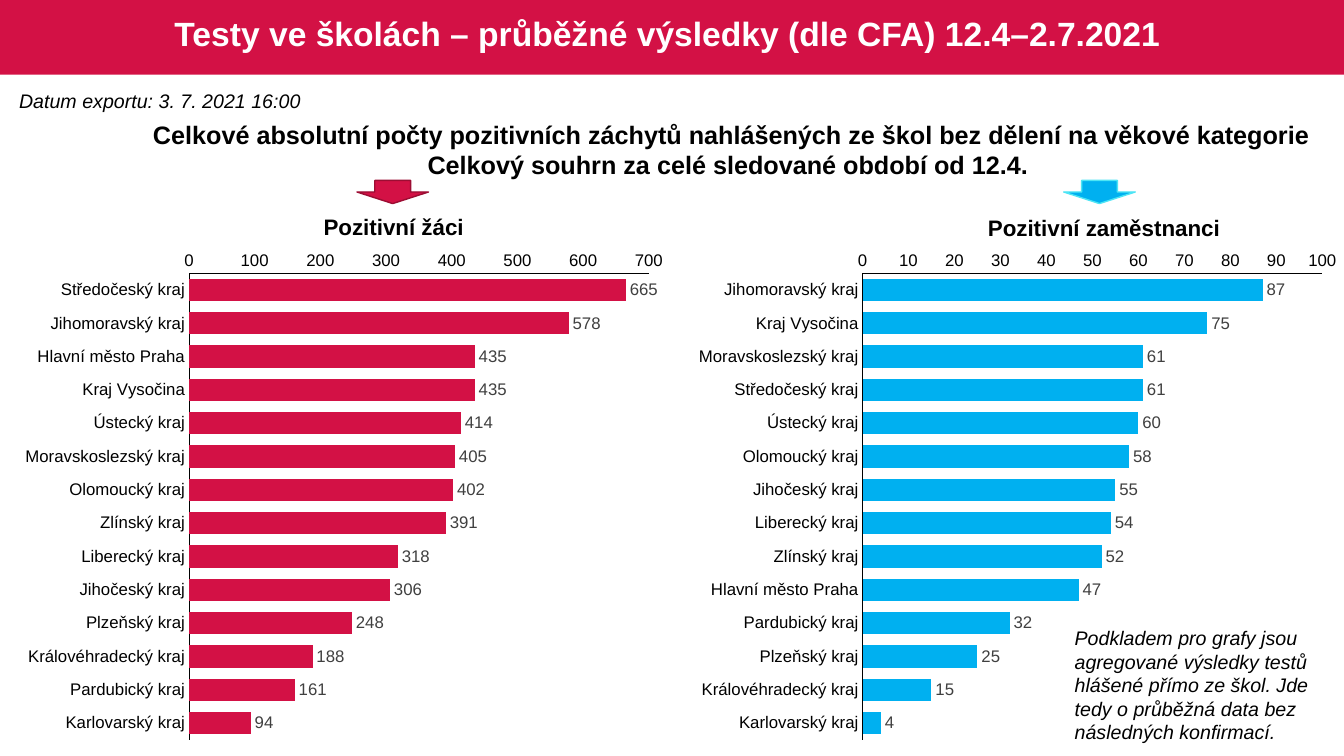
from dataclasses import dataclass

from lxml import etree
from pptx import Presentation
from pptx.chart.data import CategoryChartData
from pptx.dml.color import RGBColor
from pptx.enum.chart import XL_CHART_TYPE, XL_LABEL_POSITION, XL_TICK_MARK
from pptx.enum.shapes import MSO_SHAPE
from pptx.enum.text import MSO_ANCHOR, MSO_AUTO_SIZE, PP_ALIGN
from pptx.oxml import parse_xml
from pptx.oxml.ns import nsdecls
from pptx.util import Emu, Pt

PX = 9144  # EMU in one px, 100 px to the inch


@dataclass(frozen=True)
class Theme:
    font: str = "Arial"
    red: str = "D31145"
    red_edge: str = "9C0D33"
    blue: str = "00B0F0"
    blue_edge: str = "4DE5F5"
    black: str = "000000"
    white: str = "FFFFFF"
    value: str = "404040"
    title: int = 24
    lead: int = 18
    heading: int = 16
    note: int = 14
    axis: int = 12
    chart: int = 10


THEME = Theme()


@dataclass(frozen=True)
class Box:
    x: int
    y: int
    w: int
    h: int

    def emu(self) -> tuple[Emu, Emu, Emu, Emu]:
        return Emu(self.x * PX), Emu(self.y * PX), Emu(self.w * PX), Emu(self.h * PX)


@dataclass(frozen=True)
class Label:
    box: Box
    lines: tuple[str, ...]
    size: int
    bold: bool = False
    italic: bool = False
    centred: bool = False
    wrap: bool = False


@dataclass(frozen=True)
class Panel:
    chart: Box
    arrow: Box
    heading: Label
    fill: str
    edge: str
    top: int
    step: int
    counts: dict[str, int]


PANELS = (
    Panel(
        Box(9, 241, 661, 503), Box(354, 179, 71, 23),
        Label(Box(310, 207, 161, 37), ("Pozitivní žáci",), THEME.heading, bold=True, centred=True),
        THEME.red, THEME.red_edge, 700, 100,
        {"Středočeský kraj": 665, "Jihomoravský kraj": 578, "Hlavní město Praha": 435,
         "Kraj Vysočina": 435, "Ústecký kraj": 414, "Moravskoslezský kraj": 405,
         "Olomoucký kraj": 402, "Zlínský kraj": 391, "Liberecký kraj": 318,
         "Jihočeský kraj": 306, "Plzeňský kraj": 248, "Královéhradecký kraj": 188,
         "Pardubický kraj": 161, "Karlovarský kraj": 94},
    ),
    Panel(
        Box(677, 241, 661, 503), Box(1055, 179, 71, 23),
        Label(Box(968, 208, 254, 37), ("Pozitivní zaměstnanci",), THEME.heading, bold=True, centred=True),
        THEME.blue, THEME.blue_edge, 100, 10,
        {"Jihomoravský kraj": 87, "Kraj Vysočina": 75, "Moravskoslezský kraj": 61,
         "Středočeský kraj": 61, "Ústecký kraj": 60, "Olomoucký kraj": 58,
         "Jihočeský kraj": 55, "Liberecký kraj": 54, "Zlínský kraj": 52,
         "Hlavní město Praha": 47, "Pardubický kraj": 32, "Plzeňský kraj": 25,
         "Královéhradecký kraj": 15, "Karlovarský kraj": 4},
    ),
)

LABELS = (
    Label(Box(9, 83, 301, 34), ("Datum exportu: 3. 7. 2021 16:00",), THEME.note, italic=True),
    Label(
        Box(136, 113, 1179, 71),
        ("Celkové absolutní počty pozitivních záchytů nahlášených ze škol bez dělení na věkové kategorie",
         "Celkový souhrn za celé sledované období od 12.4. "),
        THEME.lead, bold=True, centred=True,
    ),
    Label(
        Box(1056, 616, 291, 128),
        ("Podkladem pro grafy jsou agregované výsledky testů hlášené přímo ze škol. "
         "Jde tedy o průběžná data bez následných konfirmací.",),
        THEME.note, italic=True, wrap=True,
    ),
)


def style_font(font, size: int, colour: str, bold: bool = False, italic: bool = False) -> None:
    font.name, font.size = THEME.font, Pt(size)
    font.bold, font.italic = bold, italic
    font.color.rgb = RGBColor.from_string(colour)


def add_label(s, label: Label) -> None:
    tf = s.shapes.add_textbox(*label.box.emu()).text_frame
    tf.word_wrap = label.wrap
    tf.auto_size = MSO_AUTO_SIZE.SHAPE_TO_FIT_TEXT
    for i, line in enumerate(label.lines):
        p = tf.add_paragraph() if i else tf.paragraphs[0]
        p.alignment = PP_ALIGN.CENTER if label.centred else PP_ALIGN.LEFT
        r = p.add_run()
        r.text = line
        style_font(r.font, label.size, THEME.black, label.bold, label.italic)


def add_preset(s, kind: MSO_SHAPE, box: Box, fill: str, edge: str | None = None):
    sp = s.shapes.add_shape(kind, *box.emu())
    sp.shadow.inherit = False
    sp.fill.solid()
    sp.fill.fore_color.rgb = RGBColor.from_string(fill)
    if edge:
        sp.line.color.rgb = RGBColor.from_string(edge)
        sp.line.width = Pt(1)
    else:
        sp.line.fill.background()
    return sp


def place_plot(chart, x: float, y: float, w: float, h: float) -> None:
    """Fix the inner plot area, in shares of the chart frame."""
    plot_area = chart.plots[0]._element.getparent()
    for old in plot_area.findall("{*}layout"):
        plot_area.remove(old)
    layout = parse_xml(f"<c:layout {nsdecls('c')}><c:manualLayout/></c:layout>")
    values = {"layoutTarget": "inner", "xMode": "edge", "yMode": "edge", "x": x, "y": y, "w": w, "h": h}
    for tag, value in values.items():
        etree.SubElement(layout[0], f"{{{layout.nsmap['c']}}}{tag}").set("val", str(value))
    plot_area.insert(0, layout)


def add_bars(s, panel: Panel) -> None:
    data = CategoryChartData()
    data.categories = list(panel.counts)
    data.add_series("Series 1", list(panel.counts.values()))
    chart = s.shapes.add_chart(XL_CHART_TYPE.BAR_CLUSTERED, *panel.chart.emu(), data).chart
    chart.has_legend = chart.has_title = False
    style_font(chart.font, THEME.chart, THEME.black)
    place_plot(chart, 0.27, 0.06, 0.69, 0.92)

    # Axes
    for axis in (chart.category_axis, chart.value_axis):
        axis.has_major_gridlines = False
        axis.major_tick_mark = axis.minor_tick_mark = XL_TICK_MARK.NONE
        axis.format.line.color.rgb = RGBColor.from_string(THEME.black)
        axis.format.line.width = Pt(0.75)
        style_font(axis.tick_labels.font, THEME.axis, THEME.black)
    chart.category_axis.reverse_order = True
    chart.value_axis.minimum_scale = 0
    chart.value_axis.maximum_scale = panel.top
    chart.value_axis.major_unit = panel.step

    # Bars and their values
    plot = chart.plots[0]
    plot.gap_width = 50
    plot.vary_by_categories = False
    series = plot.series[0]
    series.format.fill.solid()
    series.format.fill.fore_color.rgb = RGBColor.from_string(panel.fill)
    labels = series.data_labels
    labels.show_value = True
    labels.position = XL_LABEL_POSITION.OUTSIDE_END
    style_font(labels.font, THEME.axis, THEME.value)


def add_header(s) -> None:
    title = s.shapes.title
    title.left, title.top, title.width, title.height = Box(18, 4, 1297, 63).emu()
    tf = title.text_frame
    tf.word_wrap = True
    tf.auto_size = MSO_AUTO_SIZE.NONE
    tf.vertical_anchor = MSO_ANCHOR.MIDDLE
    p = tf.paragraphs[0]
    p.alignment, p.line_spacing = PP_ALIGN.CENTER, 0.9
    r = p.add_run()
    r.text = "Testy ve školách – průběžné výsledky (dle CFA) 12.4–2.7.2021 "
    style_font(r.font, THEME.title, THEME.white, bold=True)
    # The band goes behind the title
    band = add_preset(s, MSO_SHAPE.RECTANGLE, Box(0, 0, 1333, 74), THEME.red)
    title._element.addprevious(band._element)


def main() -> None:
    prs = Presentation()
    prs.slide_width, prs.slide_height = Emu(1333 * PX), Emu(750 * PX)
    s = prs.slides.add_slide(prs.slide_layouts[5])
    add_header(s)
    for panel in PANELS:
        add_bars(s, panel)
        add_label(s, panel.heading)
        add_preset(s, MSO_SHAPE.DOWN_ARROW, panel.arrow, panel.fill, panel.edge)
    for label in LABELS:
        add_label(s, label)
    prs.save("out.pptx")


if __name__ == "__main__":
    main()
